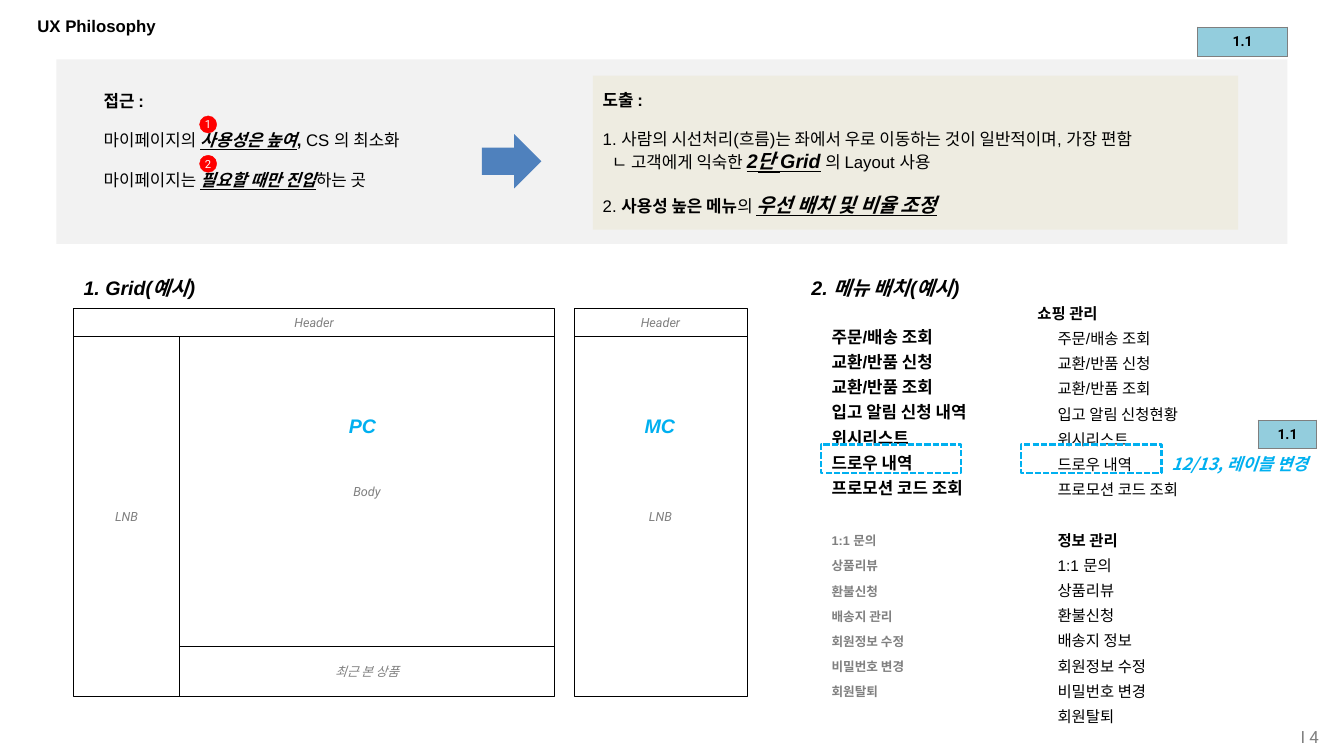
from dataclasses import dataclass

from lxml.etree import SubElement
from pptx import Presentation
from pptx.dml.color import RGBColor
from pptx.enum.dml import MSO_LINE
from pptx.enum.shapes import MSO_SHAPE as Preset
from pptx.enum.text import MSO_ANCHOR as Anchor, PP_ALIGN as Align
from pptx.oxml.ns import qn
from pptx.shapes.autoshape import Shape
from pptx.slide import Slide
from pptx.text.text import TextFrame
from pptx.util import Inches, Pt

BLACK = RGBColor(0x00, 0x00, 0x00)
WHITE = RGBColor(0xFF, 0xFF, 0xFF)
GRAY = RGBColor(0x80, 0x80, 0x80)
BORDER_GRAY = RGBColor(0x7F, 0x7F, 0x7F)
PANEL_GRAY = RGBColor(0xF2, 0xF2, 0xF2)
BEIGE = RGBColor(0xEE, 0xEC, 0xE1)
BLUE = RGBColor(0x4F, 0x81, 0xBD)
CYAN = RGBColor(0x00, 0xB0, 0xF0)
TAG_BLUE = RGBColor(0x93, 0xCD, 0xDD)
RED = RGBColor(0xFF, 0x00, 0x00)


@dataclass(frozen=True)
class Box:
    left: float
    top: float
    width: float
    height: float

    def lengths(self) -> tuple[Inches, ...]:
        return tuple(map(Inches, (self.left, self.top, self.width, self.height)))


@dataclass(frozen=True)
class Span:
    text: str
    bold: bool = False
    italic: bool = False
    underline: bool = False
    size: float = 12
    color: RGBColor = BLACK
    font: str = "Arial"


@dataclass(frozen=True)
class Line:
    spans: tuple[Span, ...]
    before: float = 0
    indent: float = 0
    spacing: float | None = None
    align: Align = Align.LEFT


def key_phrase(text: str, size: float = 12) -> Span:
    return Span(text, bold=True, italic=True, underline=True, size=size)


def centered(span: Span) -> list[Line]:
    return [Line((span,), align=Align.CENTER)]


def write(frame: TextFrame, lines: list[Line], anchor: Anchor = Anchor.MIDDLE,
          inset: float | None = None, wrap: bool = True) -> None:
    frame.word_wrap = wrap
    frame.vertical_anchor = anchor
    if inset is not None:
        frame.margin_left = frame.margin_right = Inches(inset)
        frame.margin_top = frame.margin_bottom = Inches(inset)
    for index, line in enumerate(lines):
        paragraph = frame.add_paragraph() if index else frame.paragraphs[0]
        paragraph.alignment = line.align
        if line.indent:
            paragraph._p.get_or_add_pPr().set("marL", str(Inches(line.indent)))
        if line.before:
            paragraph.space_before = Pt(line.before)
        if line.spacing:
            paragraph.line_spacing = Pt(line.spacing)
        for span in line.spans:
            run = paragraph.add_run()
            run.text = span.text
            font = run.font
            font.name, font.size = span.font, Pt(span.size)
            font.bold, font.italic, font.underline = span.bold, span.italic, span.underline
            font.color.rgb = span.color


def add_text(slide: Slide, box: Box, lines: list[Line], anchor: Anchor = Anchor.MIDDLE,
             inset: float | None = None, wrap: bool = True) -> None:
    write(slide.shapes.add_textbox(*box.lengths()).text_frame, lines, anchor, inset, wrap)


def add_block(slide: Slide, box: Box, preset: Preset = Preset.RECTANGLE,
              fill: RGBColor | None = None, line: RGBColor | None = None,
              line_width: float = 0.25) -> Shape:
    block = slide.shapes.add_shape(preset, *box.lengths())
    block.shadow.inherit = False
    if fill is None:
        block.fill.background()
    else:
        block.fill.solid()
        block.fill.fore_color.rgb = fill
    if line is None:
        block.line.fill.background()
    else:
        block.line.color.rgb = line
        block.line.width = Pt(line_width)
    return block


def add_tag(slide: Slide, box: Box) -> None:
    """Add a one-cell table holding the section number."""
    table = slide.shapes.add_table(1, 1, *box.lengths()).table
    table.first_row = table.horz_banding = False
    cell = table.cell(0, 0)
    cell.margin_left = cell.margin_right = cell.margin_top = cell.margin_bottom = 0
    cell.vertical_anchor = Anchor.MIDDLE
    properties = cell._tc.get_or_add_tcPr()
    for side in ("a:lnL", "a:lnR", "a:lnT", "a:lnB"):
        edge = SubElement(properties, qn(side), w=str(Pt(1)))
        SubElement(SubElement(edge, qn("a:solidFill")), qn("a:srgbClr"), val=str(BORDER_GRAY))
    cell.fill.solid()
    cell.fill.fore_color.rgb = TAG_BLUE
    paragraph = cell.text_frame.paragraphs[0]
    paragraph.text = "1.1"
    paragraph.alignment = Align.CENTER
    font = paragraph.runs[0].font
    font.name, font.size, font.bold = "Roboto", Pt(10), True
    font.color.rgb = BLACK


def add_philosophy(slide: Slide) -> None:
    add_block(slide, Box(0.56, 0.59, 12.21, 1.83), fill=PANEL_GRAY)
    gap = 14
    add_text(slide, Box(0.93, 0.75, 3.59, 1.28), [
        Line((Span("접근 :", bold=True),)),
        Line((Span("마이페이지의 "), key_phrase("사용성은 높여"), Span(", ", bold=True),
              Span("CS 의 최소화")), before=gap),
        Line((Span("마이페이지는 "), key_phrase("필요할 때만 진입"), Span("하는 곳")), before=gap),
    ])
    for number, top in (("1", 1.15), ("2", 1.54)):
        badge = add_block(slide, Box(1.98, top, 0.17, 0.17), Preset.OVAL, RED, RED)
        write(badge.text_frame, centered(Span(number, size=8, color=WHITE, font="Roboto")), inset=0)
    result = add_block(slide, Box(5.88, 0.75, 6.4, 1.53), fill=BEIGE)
    write(result.text_frame, [
        Line((Span("도출 :", bold=True),)),
        Line((Span("1. 사람의 시선처리(흐름)는 좌에서 우로 이동하는 것이 일반적이며, 가장 편함"),),
             before=gap),
        Line((Span("ㄴ 고객에게 익숙한 "), key_phrase("2단 Grid", 14), Span(" 의 Layout 사용")),
             indent=0.09),
        Line((Span("2. "), Span("사용성 높은 메뉴", bold=True), Span("의 "),
              key_phrase("우선 배치 및 비율 조정", 14)), before=gap),
    ])
    add_block(slide, Box(4.78, 1.33, 0.59, 0.54), Preset.RIGHT_ARROW, BLUE)


def add_grids(slide: Slide) -> None:
    regions = (
        ("Header", Box(0.73, 3.06, 4.77, 0.28)),
        ("최근 본 상품", Box(1.78, 6.41, 3.72, 0.5)),
        ("LNB", Box(0.73, 3.34, 1.05, 3.57)),
        ("Body", Box(1.78, 3.34, 3.72, 3.07)),
        ("Header", Box(5.69, 3.06, 1.72, 0.28)),
        ("LNB", Box(5.69, 3.34, 1.72, 3.57)),
    )
    for label, box in regions:
        region = add_block(slide, box, line=BLACK)
        caption = Span(label, italic=True, size=9, color=GRAY, font="Roboto")
        write(region.text_frame, centered(caption), inset=0.04)
    for device, left in (("PC", 3.12), ("MC", 6.07)):
        name = Span(device, bold=True, italic=True, size=14, color=CYAN)
        add_text(slide, Box(left, 3.99, 0.95, 0.47), centered(name))


def add_menus(slide: Slide) -> None:
    pitch = 18
    shopping = ("주문/배송 조회", "교환/반품 신청", "교환/반품 조회", "입고 알림 신청 내역",
                "위시리스트", "드로우 내역", "프로모션 코드 조회")
    account = ("1:1 문의", "상품리뷰", "환불신청", "배송지 관리",
               "회원정보 수정", "비밀번호 변경", "회원탈퇴")
    renamed = {"입고 알림 신청 내역": "입고 알림 신청현황", "배송지 관리": "배송지 정보"}

    current = [Line((Span(item, bold=True),), spacing=pitch) for item in shopping]
    current += [Line((Span(item, bold=True, size=9, color=GRAY),), spacing=pitch,
                     before=0 if index else pitch) for index, item in enumerate(account)]
    add_text(slide, Box(8.15, 3.14, 1.93, 3.61), current, Anchor.TOP)

    proposed = []
    for group, items, indent, before in (("쇼핑 관리", shopping, 0, 0),
                                         ("정보 관리", account, 0.2, pitch)):
        proposed.append(Line((Span(group, bold=True, size=11),), before, indent, pitch))
        proposed += [Line((Span(renamed.get(item, item), size=11),), indent=0.2, spacing=pitch)
                     for item in items]
    add_text(slide, Box(10.19, 2.9, 2.08, 4.1), proposed, Anchor.TOP)

    change = Span("12/13, 레이블 변경", bold=True, italic=True, color=CYAN, font="Noto Sans CJK KR")
    add_text(slide, Box(11.52, 4.45, 1.67, 0.3), [Line((change,))], Anchor.TOP, wrap=False)
    for left in (8.14, 10.13):
        highlight = add_block(slide, Box(left, 4.41, 1.39, 0.28), line=CYAN, line_width=1.5)
        highlight.line.dash_style = MSO_LINE.SQUARE_DOT


def main() -> None:
    deck = Presentation()
    deck.slide_width, deck.slide_height = Inches(13.33), Inches(7.5)
    slide = deck.slides.add_slide(deck.slide_layouts[5])
    title = slide.shapes.title
    title.left, title.top, title.width, title.height = Box(0.27, 0.07, 12.79, 0.38).lengths()
    write(title.text_frame, [Line((Span("UX Philosophy", bold=True),))])
    add_philosophy(slide)
    add_grids(slide)
    add_menus(slide)
    for heading, left, width in (("1. Grid(예시)", 0.73, 1.41), ("2. 메뉴 배치(예시)", 7.95, 1.93)):
        add_text(slide, Box(left, 2.62, width, 0.47),
                 [Line((Span(heading, bold=True, italic=True, size=14),))])
    for tag in (Box(11.88, 0.27, 0.89, 0.29), Box(12.48, 4.17, 0.58, 0.28)):
        add_tag(slide, tag)
    page = Span("I 4", color=GRAY, font="Roboto")
    add_text(slide, Box(11.15, 7.11, 1.93, 0.39), [Line((page,), align=Align.RIGHT)], inset=0)
    deck.save("out.pptx")


if __name__ == "__main__":
    main()
